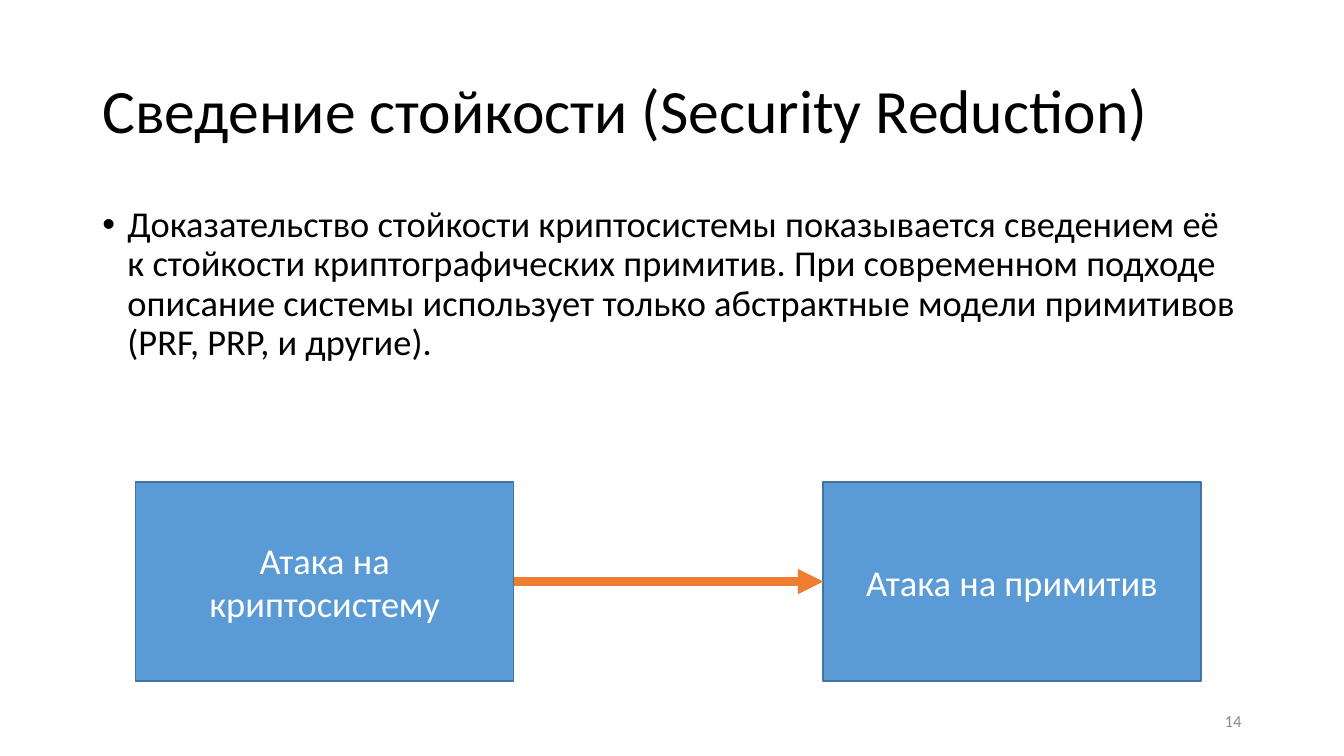
from lxml.etree import SubElement
from pptx import Presentation
from pptx.dml.color import RGBColor
from pptx.enum.shapes import MSO_CONNECTOR, MSO_SHAPE
from pptx.enum.text import MSO_ANCHOR, MSO_AUTO_SIZE, PP_ALIGN
from pptx.oxml.ns import qn
from pptx.util import Pt

BLACK = RGBColor(0x00, 0x00, 0x00)
WHITE = RGBColor(0xFF, 0xFF, 0xFF)
GRAY = RGBColor(0x8C, 0x8C, 0x8C)
BLUE = RGBColor(0x5B, 0x9B, 0xD5)
EDGE = RGBColor(0x43, 0x73, 0x9E)
ORANGE = RGBColor(0xED, 0x7D, 0x31)


def put_text(shape, text, size=26, color=BLACK, align=PP_ALIGN.LEFT,
             anchor=MSO_ANCHOR.MIDDLE, spacing=1.0):
    """Write formatted text into a shape and return its paragraph."""
    frame = shape.text_frame
    frame.word_wrap = True
    frame.auto_size = MSO_AUTO_SIZE.NONE
    frame.vertical_anchor = anchor
    para = frame.paragraphs[0]
    para.alignment = align
    para.line_spacing = spacing
    run = para.add_run()
    run.text = text
    run.font.name = "Calibri"
    run.font.size = Pt(size)
    run.font.color.rgb = color
    return para


def add_title(slide, box, text):
    """Move and fill the title placeholder."""
    title = slide.shapes.title
    title.left, title.top, title.width, title.height = map(Pt, box)
    put_text(title, text, size=44, spacing=0.9)


def add_body(slide, box, text):
    """Add the bulleted statement."""
    body = slide.shapes.add_textbox(*map(Pt, box))
    para = put_text(body, text, anchor=MSO_ANCHOR.TOP, spacing=0.9)
    para.space_before = Pt(10)
    props = para._p.get_or_add_pPr()
    props.set("marL", str(Pt(18)))
    props.set("indent", str(Pt(-18)))
    SubElement(props, qn("a:buFont"), typeface="Arial")
    SubElement(props, qn("a:buChar"), char="•")


def add_number(slide, box, text):
    """Add the slide number."""
    label = slide.shapes.add_textbox(*map(Pt, box))
    put_text(label, text, size=12, color=GRAY, align=PP_ALIGN.RIGHT)


def add_block(slide, box, text):
    """Add one blue block with centred text."""
    block = slide.shapes.add_shape(MSO_SHAPE.RECTANGLE, *map(Pt, box))
    block.shadow.inherit = False
    block.fill.solid()
    block.fill.fore_color.rgb = BLUE
    block.line.color.rgb = EDGE
    block.line.width = Pt(1)
    put_text(block, text, color=WHITE, align=PP_ALIGN.CENTER)
    return block


def add_arrow(slide, start, end):
    """Join the right side of one block to the left side of another."""
    arrow = slide.shapes.add_connector(MSO_CONNECTOR.STRAIGHT, 0, 0, 0, 0)
    arrow.begin_connect(start, 3)
    arrow.end_connect(end, 1)
    arrow.line.color.rgb = ORANGE
    arrow.line.width = Pt(6)
    SubElement(arrow.line._get_or_add_ln(), qn("a:tailEnd"), type="triangle")
    SubElement(arrow._element.spPr, qn("a:effectLst"))


def add_flow(slide, box, source, target):
    """Place two blocks at the ends of the box and an arrow between them."""
    left, top, width, height = box
    side = 270
    start = add_block(slide, (left, top, side, height), source)
    end = add_block(slide, (left + width - side, top, side, height), target)
    add_arrow(slide, start, end)


def main():
    """Build and save the slide."""
    deck = Presentation()
    deck.slide_width, deck.slide_height = Pt(960), Pt(540)
    slide = deck.slides.add_slide(deck.slide_layouts[5])
    add_title(slide, (66, 28.75, 828, 104.4),
              "Сведение стойкости (Security Reduction)")
    add_body(slide, (66, 143.75, 828, 342.6),
             "Доказательство стойкости криптосистемы показывается сведением её "
             "к стойкости криптографических примитив. При современном подходе "
             "описание системы использует только абстрактные модели примитивов "
             "(PRF, PRP, и другие).")
    add_number(slide, (678, 500.5, 216, 28.75), "14")
    add_flow(slide, (97, 344.4, 761, 142),
             "Атака на криптосистему", "Атака на примитив")
    deck.save("out.pptx")


if __name__ == "__main__":
    main()
